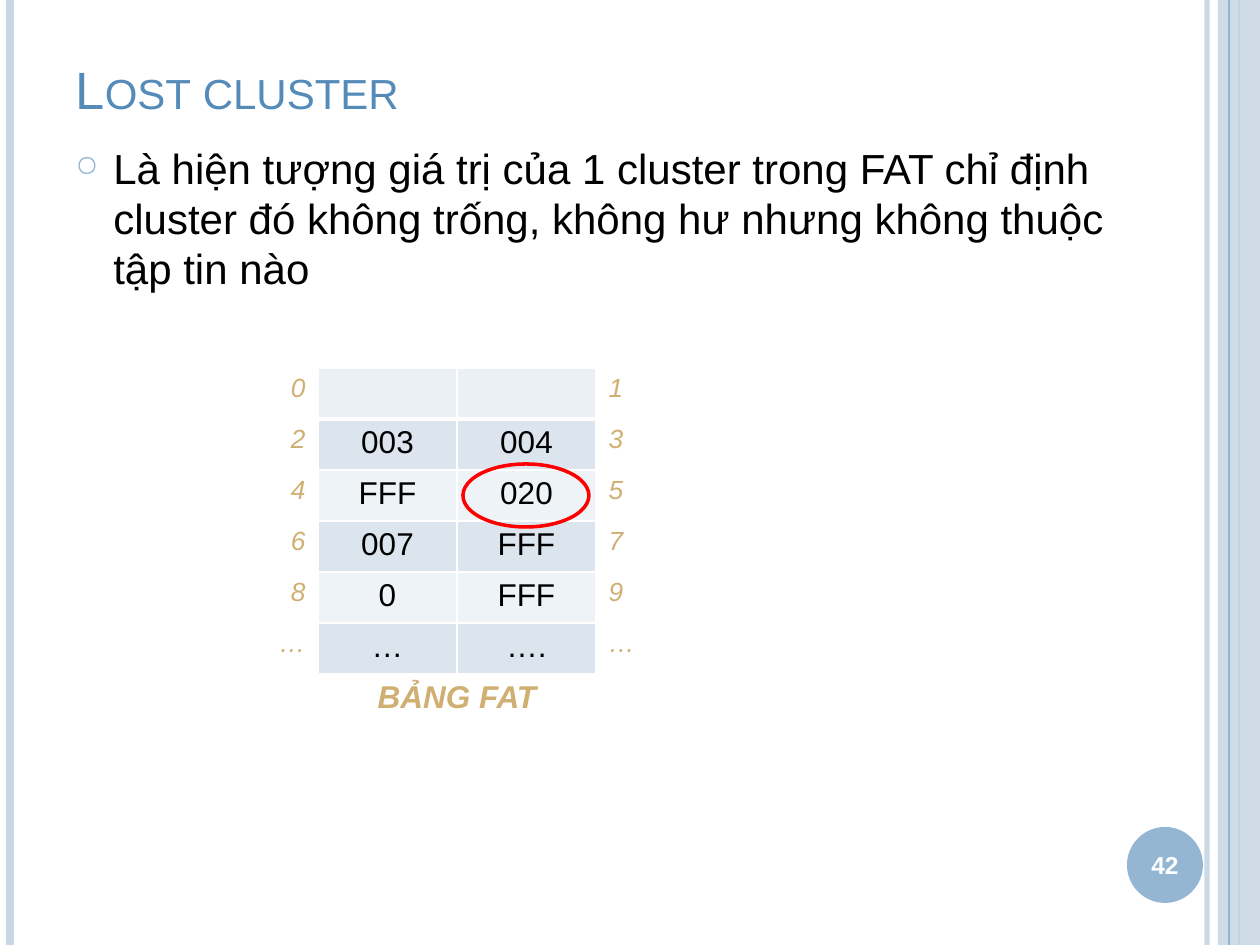
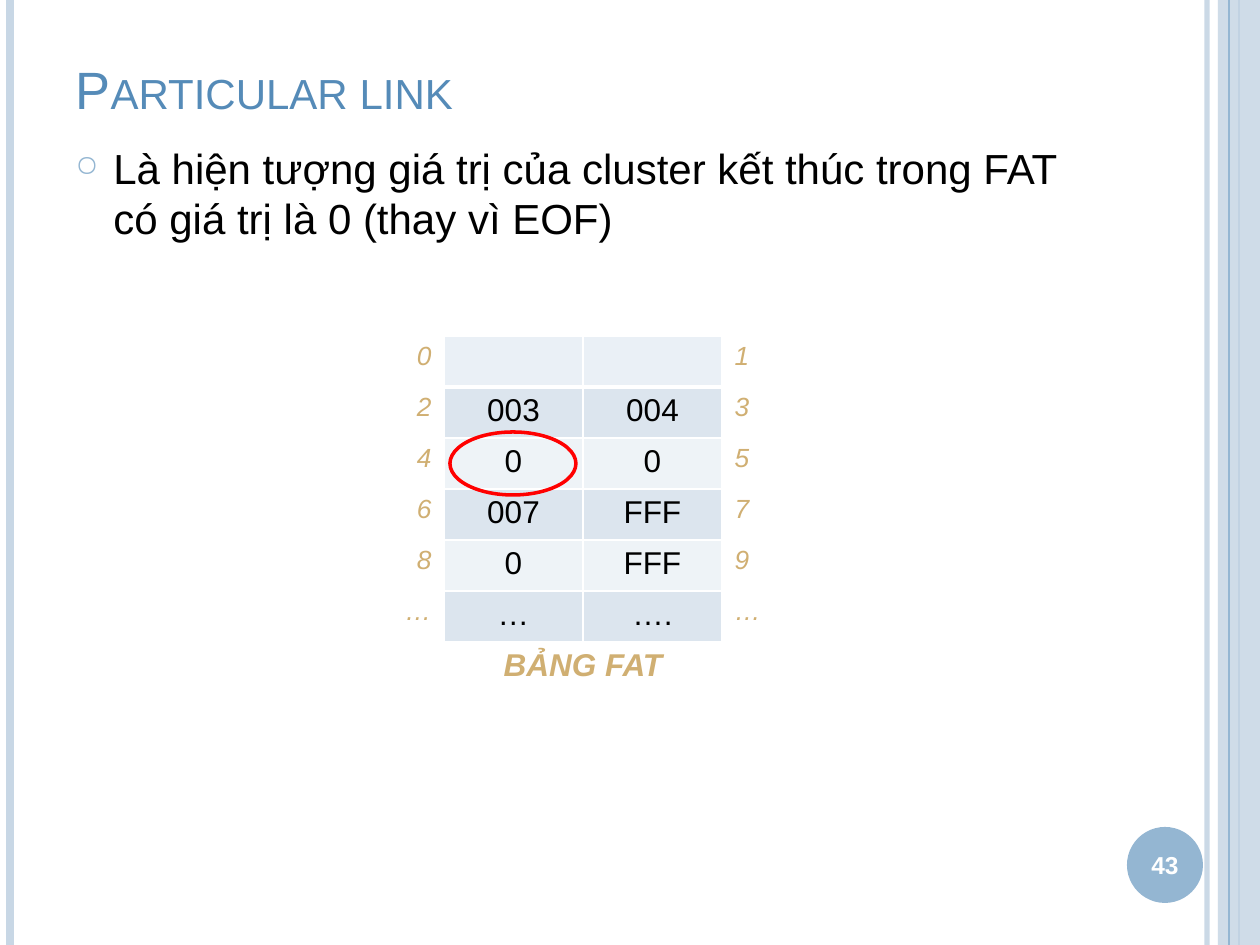
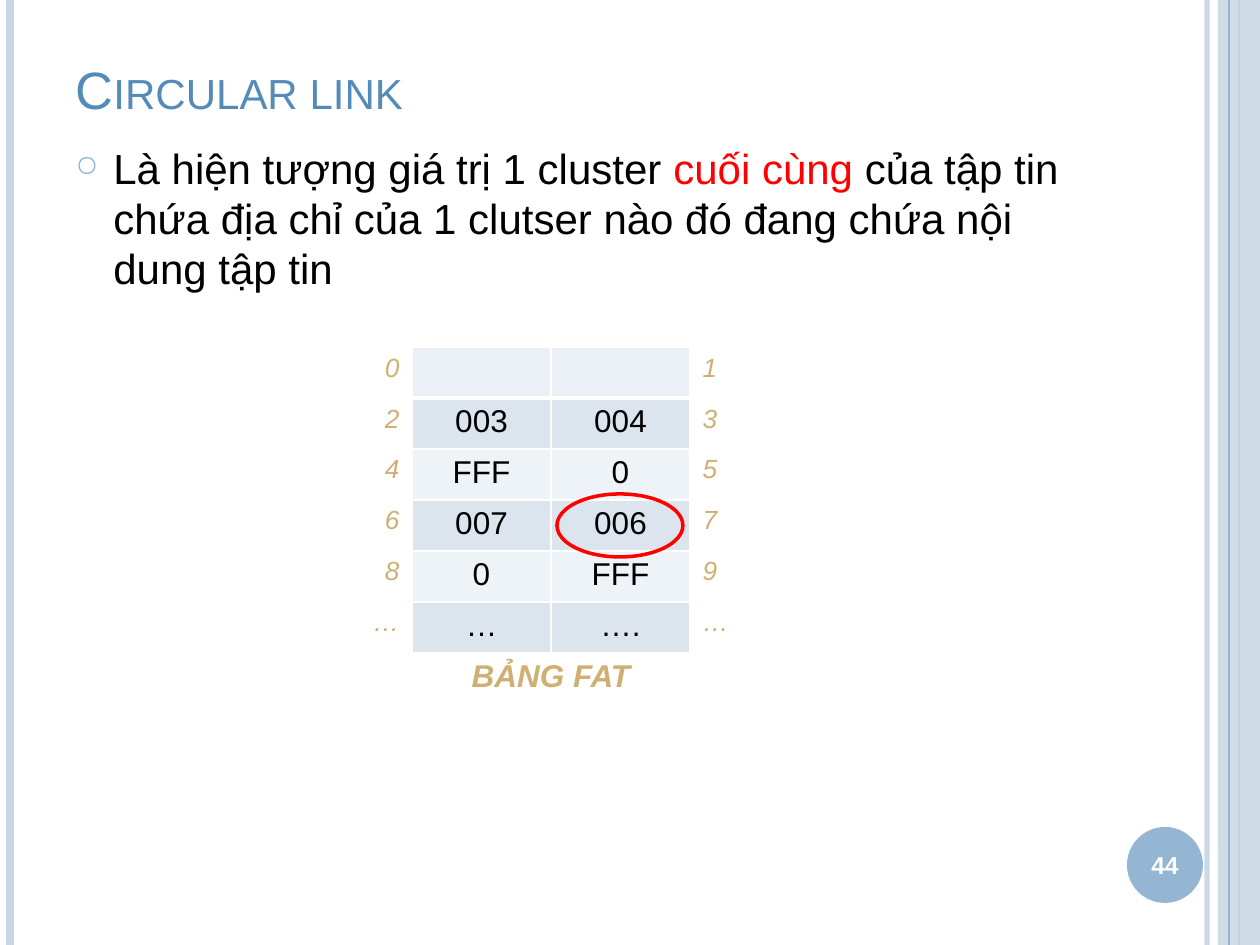
import dataclasses

import pptx
import pptx.dml.color
import pptx.enum.shapes
import pptx.enum.text
import pptx.oxml
import pptx.oxml.ns
import pptx.util

ALIGN = pptx.enum.text.PP_ALIGN
ANCHOR = pptx.enum.text.MSO_ANCHOR
SHAPE = pptx.enum.shapes.MSO_SHAPE
qn = pptx.oxml.ns.qn
PX_PER_INCH = 126
SLIDE_W, SLIDE_H = 1260, 945
FIRST_NUMBER = 42

# Boxes are left, top, width, height in px.
TITLE_BOX = (63, 38, 1061, 88)
BODY_BOX = (63, 136, 1061, 756)
BADGE_BOX = (1127, 827, 76, 76)
COL_W, ROW_H = 139, 51
RING_W, RING_H = 126, 63


@dataclasses.dataclass(frozen=True)
class Theme:
    font: str = "Arial"
    title: str = "558BB8"
    text: str = "000000"
    alert: str = "FF0000"
    label: str = "D0AF72"
    accent: str = "94B6D2"
    pale: str = "C8D7E5"
    white: str = "FFFFFF"
    head_fill: str = "EAF0F6"
    row_fills: tuple = ("DCE5EE", "EEF3F7")
    title_size: int = 30
    body_size: int = 24
    cell_size: int = 18
    label_size: int = 15
    number_size: int = 14


T = Theme()
LABEL = {"size": T.label_size, "color": T.label, "italic": True}
VALUE = {"size": T.cell_size, "color": T.text}
CAPTION = {"size": T.cell_size, "color": T.label, "italic": True, "bold": True}


def px(n):
    return pptx.util.Emu(round(n * 914400 / PX_PER_INCH))


def rgb(color):
    return pptx.dml.color.RGBColor.from_string(color)


def add_xml(parent, xml):
    tag, rest = xml.split(" ", 1)
    parent.append(pptx.oxml.parse_xml(f"<{tag} {pptx.oxml.ns.nsdecls('a')} {rest}"))


def place(sp, box):
    for name, n in zip(("left", "top", "width", "height"), box):
        setattr(sp, name, px(n))


def add_run(p, text, size, color, **fmt):
    r = p.add_run()
    r.text = text
    r.font.color.rgb = rgb(color)
    for name, value in {"name": T.font, "size": pptx.util.Pt(size), **fmt}.items():
        setattr(r.font, name, value)
    return r


def set_alpha(sp, percent):
    color = next(sp._element.spPr.iter(qn("a:srgbClr")))
    add_xml(color, f'a:alpha val="{percent * 1000}"/>')


def add_rule(slide, x, color, width):
    """Draw a vertical line over the full slide height."""
    line = slide.shapes.add_connector(
        pptx.enum.shapes.MSO_CONNECTOR.STRAIGHT, px(x), 0, px(x), px(SLIDE_H))
    line.line.color.rgb = rgb(color)
    line.line.width = pptx.util.Pt(width)
    add_xml(line._element.spPr, "a:effectLst />")
    return line


def add_shape(slide, kind, box, fill=None, line=None, width=2):
    sp = slide.shapes.add_shape(kind, *map(px, box))
    sp.shadow.inherit = False
    if fill:
        sp.fill.solid()
        sp.fill.fore_color.rgb = rgb(fill)
    else:
        sp.fill.background()
    if line:
        sp.line.color.rgb = rgb(line)
        sp.line.width = pptx.util.Pt(width)
    else:
        sp.line.fill.background()
    return sp


def add_frame(slide, number):
    """Draw the side bands and the numbered badge."""
    set_alpha(add_rule(slide, 1207, T.pale, 3), 93)
    add_rule(slide, 10, T.pale, 4.5)
    add_rule(slide, 1239, T.accent, 1.5)
    set_alpha(add_shape(slide, SHAPE.RECTANGLE, (1218, 0, 42, SLIDE_H), T.pale), 87)
    add_rule(slide, 1229, T.accent, 0.75)

    tf = add_shape(slide, SHAPE.OVAL, BADGE_BOX, T.accent).text_frame
    for name in ("margin_left", "margin_right"):
        setattr(tf, name, 0)
    tf.vertical_anchor = ANCHOR.MIDDLE
    p = tf.paragraphs[0]
    p.alignment = ALIGN.CENTER
    add_run(p, str(number), T.number_size, T.white, bold=True)


def set_title(slide, text):
    sp = slide.shapes.title
    place(sp, TITLE_BOX)
    tf = sp.text_frame
    tf.auto_size = pptx.enum.text.MSO_AUTO_SIZE.NONE
    tf.vertical_anchor = ANCHOR.BOTTOM
    p = tf.paragraphs[0]
    p.alignment = ALIGN.LEFT
    r = add_run(p, text, T.title_size, T.title)
    r._r.get_or_add_rPr().set("cap", "small")


def add_body(slide, box, parts):
    """Write one bulleted paragraph from (text, color) parts."""
    tf = slide.shapes.add_textbox(*map(px, box)).text_frame
    tf.word_wrap = True
    p = tf.paragraphs[0]
    p.space_before = pptx.util.Pt(6)
    pPr = p._p.get_or_add_pPr()
    for name, n in (("marL", 38), ("indent", -38)):
        pPr.set(name, str(px(n)))
    add_xml(pPr, f'a:buClr ><a:srgbClr val="{T.accent}"/></a:buClr>')
    add_xml(pPr, 'a:buSzPct val="70000"/>')
    add_xml(pPr, 'a:buChar char="○"/>')
    for text, color in parts:
        add_run(p, text, T.body_size, color)


def set_cell(cell, text, align, fmt, fill=None, bottom=1):
    tcPr = cell._tc.get_or_add_tcPr()
    for side, width in (("L", 1), ("R", 1), ("T", 1), ("B", bottom)):
        add_xml(tcPr, f'a:ln{side} w="{pptx.util.Pt(width)}"><a:solidFill>'
                      f'<a:srgbClr val="{T.white}"/></a:solidFill></a:ln{side}>')
    if fill:
        cell.fill.solid()
        cell.fill.fore_color.rgb = rgb(fill)
    else:
        cell.fill.background()
    p = cell.text_frame.paragraphs[0]
    p.alignment = align
    if text:
        add_run(p, text, **fmt)


def add_fat_table(slide, left, top, entries, ringed):
    """Draw the FAT with cluster numbers at its sides and a ring on one cell."""
    rows = [("", "")] + entries + [("…", "….")]
    table = slide.shapes.add_table(
        len(rows) + 1, 4, px(left), px(top),
        px(4 * COL_W), px((len(rows) + 1) * ROW_H)).table
    for name in ("first_row", "horz_banding"):
        setattr(table, name, False)

    for i, values in enumerate(rows):
        is_last = i == len(rows) - 1
        labels = ("…", "…") if is_last else (str(2 * i), str(2 * i + 1))
        fill = T.row_fills[(i - 1) % 2] if i else T.head_fill
        bottom = 1 if i else 3
        cells = [(labels[0], ALIGN.RIGHT, LABEL, None),
                 (values[0], ALIGN.CENTER, VALUE, fill),
                 (values[1], ALIGN.CENTER, VALUE, fill),
                 (labels[1], ALIGN.LEFT, LABEL, None)]
        for j, cell in enumerate(cells):
            set_cell(table.cell(i, j), *cell, bottom)

    caption = table.cell(len(rows), 0)
    caption.merge(table.cell(len(rows), 3))
    set_cell(caption, "BẢNG FAT", ALIGN.CENTER, CAPTION)

    row, col = ringed
    x = left + col * COL_W + (COL_W - RING_W) // 2
    y = top + row * ROW_H + (ROW_H - RING_H) // 2
    add_shape(slide, SHAPE.OVAL, (x, y, RING_W, RING_H), line=T.alert)


# Each slide: title, body parts, table corner, FAT entries, ringed (row, column).
SLIDES = [
    ("Lost cluster",
     [("Là hiện tượng giá trị của 1 cluster trong FAT chỉ định cluster đó "
       "không trống, không hư nhưng không thuộc tập tin nào", T.text)],
     (179, 368),
     [("003", "004"), ("FFF", "020"), ("007", "FFF"), ("0", "FFF")], (2, 2)),
    ("Particular link",
     [("Là hiện tượng giá trị của cluster kết thúc trong FAT có giá trị là 0 "
       "(thay vì EOF)", T.text)],
     (305, 336),
     [("003", "004"), ("0", "0"), ("007", "FFF"), ("0", "FFF")], (2, 1)),
    ("Circular link",
     [("Là hiện tượng giá trị 1 cluster ", T.text),
      ("cuối cùng ", T.alert),
      ("của tập tin chứa địa chỉ của 1 clutser nào đó đang chứa nội dung "
       "tập tin", T.text)],
     (273, 347),
     [("003", "004"), ("FFF", "0"), ("007", "006"), ("0", "FFF")], (3, 2)),
]


def main():
    prs = pptx.Presentation()
    prs.slide_width, prs.slide_height = px(SLIDE_W), px(SLIDE_H)
    for number, (title, body, corner, entries, ringed) in enumerate(SLIDES, FIRST_NUMBER):
        slide = prs.slides.add_slide(prs.slide_layouts[5])
        add_frame(slide, number)
        set_title(slide, title)
        add_body(slide, BODY_BOX, body)
        add_fat_table(slide, *corner, entries, ringed)
    prs.save("out.pptx")


if __name__ == "__main__":
    main()
